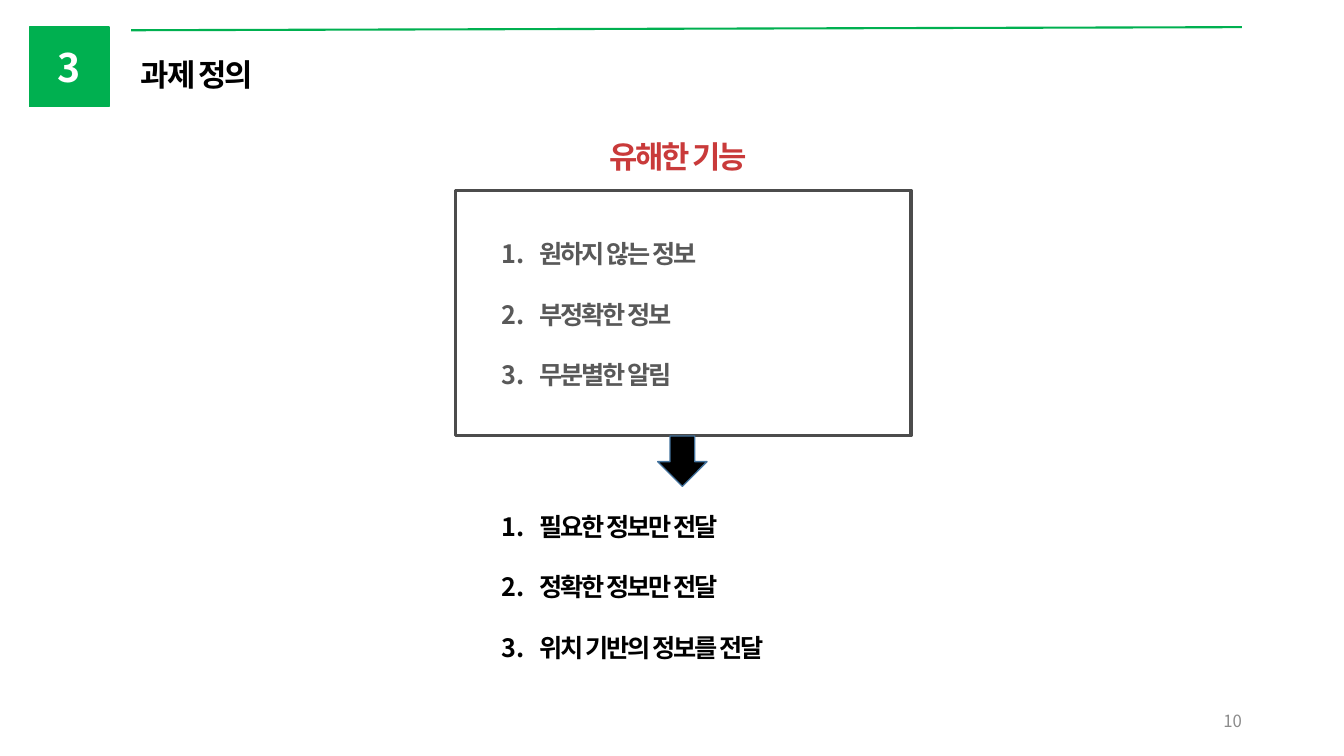
from dataclasses import dataclass

import pptx
import pptx.dml.color
import pptx.enum.shapes
import pptx.enum.text
import pptx.oxml.ns
import pptx.util
from lxml import etree

Pt = pptx.util.Pt
RGBColor = pptx.dml.color.RGBColor
PP_ALIGN = pptx.enum.text.PP_ALIGN
ANCHOR = pptx.enum.text.MSO_ANCHOR
SHAPE = pptx.enum.shapes.MSO_SHAPE
qn = pptx.oxml.ns.qn

GREEN = RGBColor(0x00, 0xB0, 0x50)
RED = RGBColor(0xC9, 0x3A, 0x3A)
BLACK = RGBColor(0x00, 0x00, 0x00)
WHITE = RGBColor(0xFF, 0xFF, 0xFF)
GRAY = RGBColor(0x59, 0x59, 0x59)
FRAME_GRAY = RGBColor(0x4C, 0x4C, 0x4C)
PAGE_GRAY = RGBColor(0x8C, 0x8C, 0x8C)
ARROW_BLUE = RGBColor(0x43, 0x73, 0x9E)
FONT = "Noto Sans CJK KR"


@dataclass
class Label:
    box: tuple[float, float, float, float]
    lines: list[str]
    size: float
    color: RGBColor
    align: PP_ALIGN = PP_ALIGN.LEFT
    anchor: ANCHOR = ANCHOR.TOP
    bold: bool = True
    spacing: float = -1.5
    line_height: float | None = None
    gap: float = 0
    indent: float = 0
    top_inset: float = 3.6


@dataclass
class Block:
    kind: SHAPE
    box: tuple[float, float, float, float]
    fill: RGBColor | None
    line: RGBColor
    width: float
    rotation: float = 0


def write(sp, label: Label) -> None:
    tf = sp.text_frame
    tf.word_wrap = True
    tf.vertical_anchor = label.anchor
    tf.margin_top = Pt(label.top_inset)
    for i, text in enumerate(label.lines):
        p = tf.add_paragraph() if i else tf.paragraphs[0]
        if label.indent:
            pPr = p._p.get_or_add_pPr()
            pPr.set("marL", str(Pt(label.indent)))
            pPr.set("indent", str(-Pt(label.indent)))
            etree.SubElement(pPr, qn("a:buFont"), typeface="+mj-lt")
            etree.SubElement(pPr, qn("a:buAutoNum"), type="arabicPeriod")
        p.alignment = label.align
        if label.line_height:
            p.line_spacing = Pt(label.line_height)
        if i:
            p.space_before = Pt(label.gap)
        r = p.add_run()
        r.text = text
        r.font.size = Pt(label.size)
        r.font.bold = label.bold
        r.font.name = FONT
        r.font.color.rgb = label.color
        rPr = r.font._element
        etree.SubElement(rPr, qn("a:ea"), typeface=FONT)
        if label.spacing:
            rPr.set("spc", str(round(label.spacing * 100)))


def add_label(s, label: Label) -> None:
    write(s.shapes.add_textbox(*map(Pt, label.box)), label)


def add_block(s, block: Block):
    sp = s.shapes.add_shape(block.kind, *map(Pt, block.box))
    sp.shadow.inherit = False
    sp.rotation = block.rotation
    if block.fill is None:
        sp.fill.background()
    else:
        sp.fill.solid()
        sp.fill.fore_color.rgb = block.fill
    sp.line.color.rgb = block.line
    sp.line.width = Pt(block.width)
    return sp


def add_rule(s) -> None:
    line = s.shapes.add_connector(
        pptx.enum.shapes.MSO_CONNECTOR.STRAIGHT, Pt(93.6), Pt(21.6), Pt(887), Pt(19.4)
    )
    line.line.color.rgb = GREEN
    line.line.width = Pt(1.5)
    etree.SubElement(line._element.spPr, qn("a:effectLst"))


BADGE = Block(SHAPE.RECTANGLE, (20.9, 19.4, 56.9, 56.9), GREEN, GREEN, 1)
BADGE_LABEL = Label(
    BADGE.box, ["3"], 28, WHITE, PP_ALIGN.CENTER, ANCHOR.MIDDLE, spacing=0
)
BLOCKS = [
    Block(SHAPE.RECTANGLE, (325.4, 136.1, 325.4, 175), None, FRAME_GRAY, 2.5),
    Block(SHAPE.RIGHT_ARROW, (469.4, 311.8, 36, 35.3), BLACK, ARROW_BLUE, 1, 90),
]
LABELS = [
    Label((678.2, 500.4, 216, 28.8), ["10"], 12, PAGE_GRAY, PP_ALIGN.RIGHT,
          ANCHOR.MIDDLE, bold=False, spacing=0),
    Label((93.6, 34.6, 267.1, 33.8), ["과제 정의"], 22, BLACK, line_height=28),
    Label((351.4, 92.9, 265.7, 33.1), ["유해한 기능"], 22, RED, PP_ALIGN.CENTER,
          line_height=28),
    Label((351.4, 165.6, 284.4, 116.6),
          ["원하지 않는 정보", "부정확한 정보", "무분별한 알림"],
          18, GRAY, line_height=23, gap=20.2, indent=27),
    Label((351.4, 339.1, 457.2, 181.4),
          ["필요한 정보만 전달", "정확한 정보만 전달", "위치 기반의 정보를 전달"],
          18, BLACK, line_height=23, gap=20.2, indent=27, top_inset=24.5),
]


def main() -> None:
    prs = pptx.Presentation()
    prs.slide_width, prs.slide_height = Pt(960), Pt(540)
    s = prs.slides.add_slide(prs.slide_layouts[6])
    add_rule(s)
    write(add_block(s, BADGE), BADGE_LABEL)
    for label in LABELS:
        add_label(s, label)
    for block in BLOCKS:
        add_block(s, block)
    prs.save("out.pptx")


if __name__ == "__main__":
    main()
